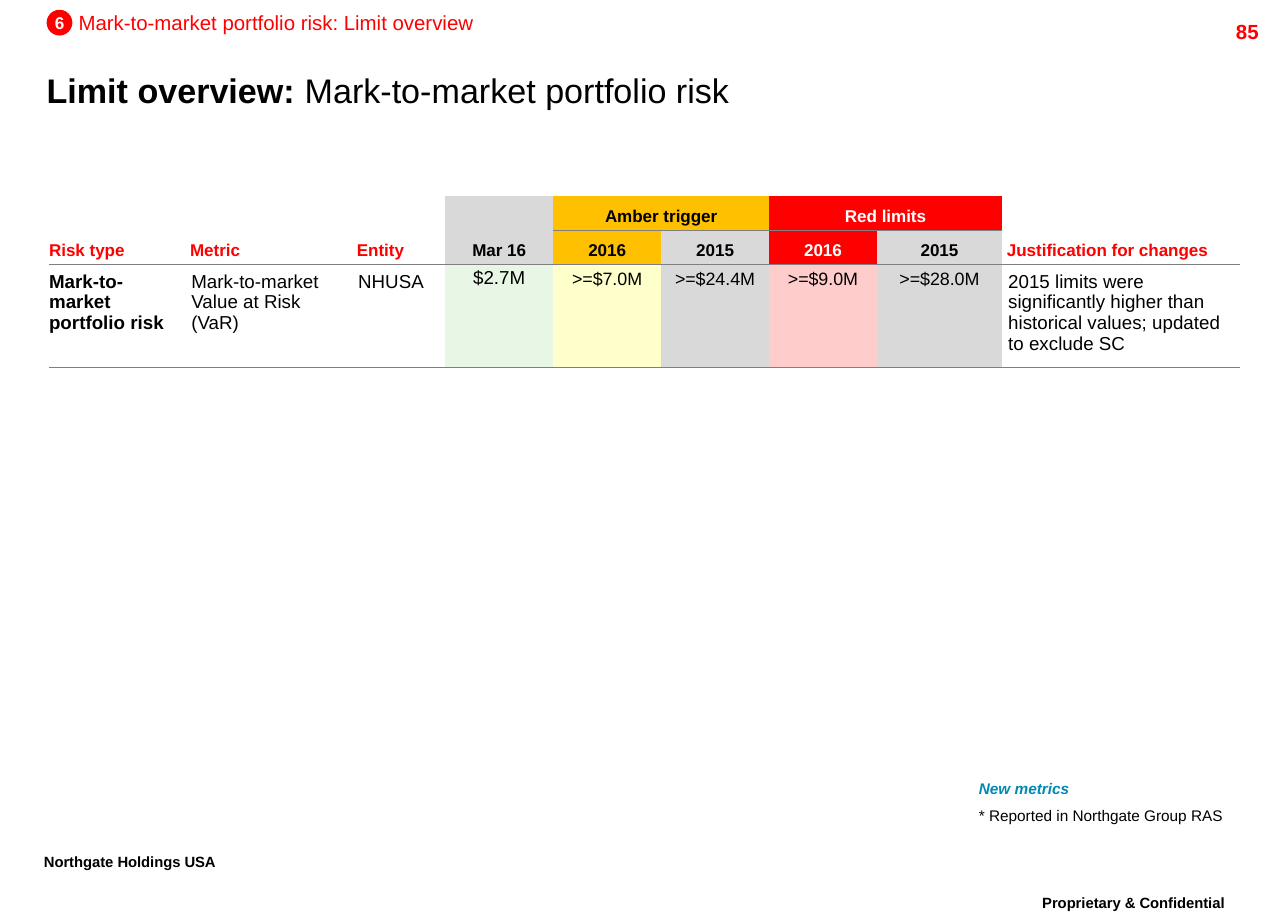
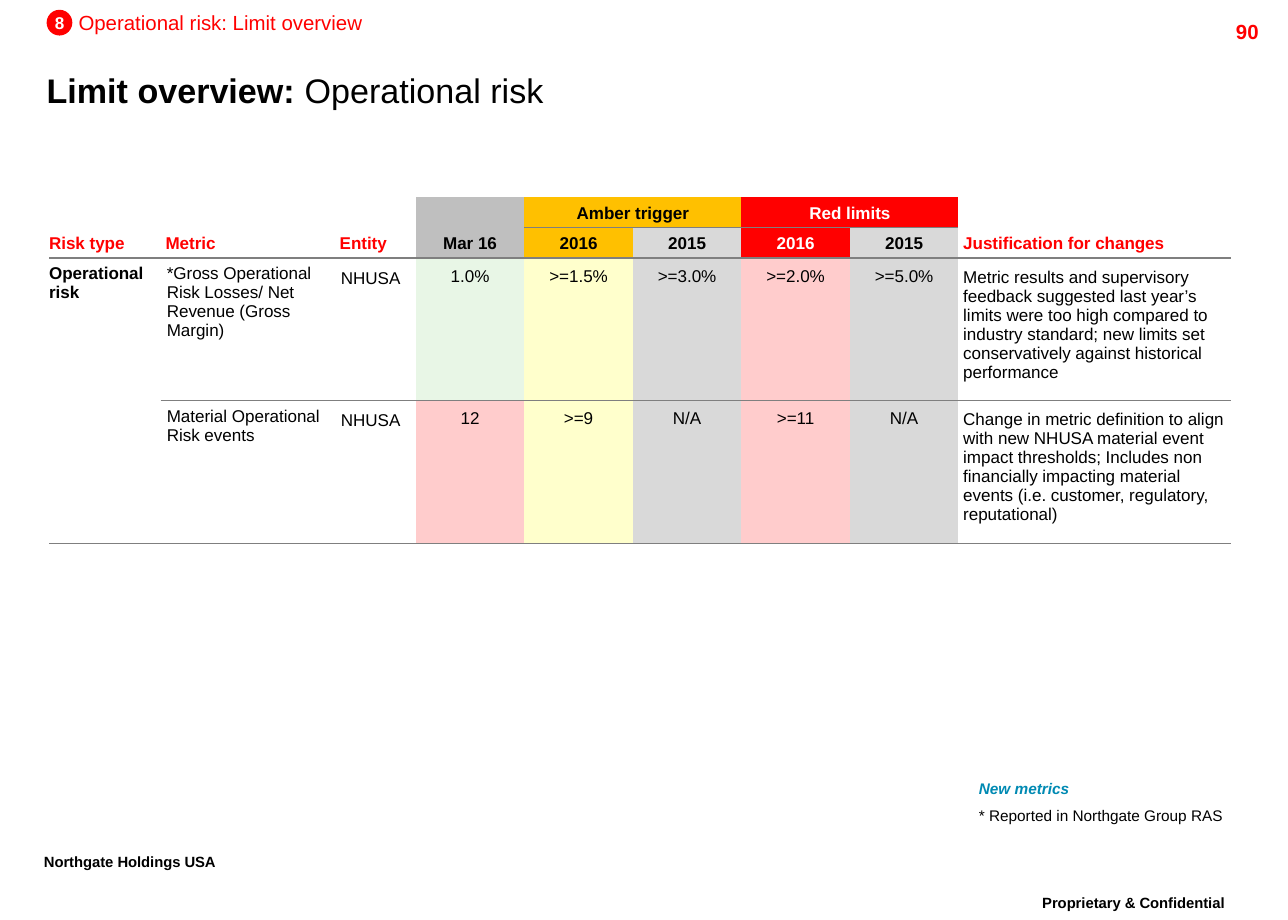
import dataclasses

import pptx
import pptx.dml.color
import pptx.enum.shapes
import pptx.enum.text
import pptx.oxml
import pptx.oxml.ns
import pptx.util
from pptx.util import Inches

ALIGN = pptx.enum.text.PP_ALIGN
ANCHOR = pptx.enum.text.MSO_ANCHOR
COLORS = {
    "black": "000000", "white": "FFFFFF", "red": "FF0000", "amber": "FFC000",
    "grey": "D9D9D9", "dark grey": "BFBFBF", "rule": "7F7F7F", "teal": "008AB3",
    "pale green": "E8F6E6", "pale yellow": "FFFFCC", "pale red": "FFCCCC",
}
NO_TABLE_STYLE = "{2D5ABB26-0587-4C30-8999-92F81FD0307C}"
AMBER_COLUMN, RED_COLUMN = 4, 6


@dataclasses.dataclass
class CellStyle:
    size: float = 10
    bold: bool = False
    color: str = "black"
    align: ALIGN = ALIGN.LEFT
    anchor: ANCHOR = ANCHOR.TOP
    left: float = 0.05
    side: float = 0.05
    top: float = 0.05
    line_points: float = None


def rgb(name):
    return pptx.dml.color.RGBColor.from_string(COLORS[name])


class RiskDeck:
    font_name = "Arial"

    def __init__(self):
        self.deck = pptx.Presentation()
        self.deck.slide_width = Inches(10.5)
        self.deck.slide_height = Inches(7.5)
        self.page = None

    def format_span(self, span, size, color="black", bold=False, italic=False):
        span.font.name = self.font_name
        span.font.size = pptx.util.Pt(size)
        span.font.color.rgb = rgb(color)
        span.font.bold = bold
        span.font.italic = italic

    def set_margins(self, frame, left, top, right, bottom):
        frame.margin_left, frame.margin_top = Inches(left), Inches(top)
        frame.margin_right, frame.margin_bottom = Inches(right), Inches(bottom)

    def text(self, text, left, top, width, height, size, color="black", bold=False,
             italic=False, align=ALIGN.LEFT, anchor=ANCHOR.TOP, padded=False,
             spacing=1.0, wrap=False, raised=False):
        box = self.page.shapes.add_textbox(
            Inches(left), Inches(top), Inches(width), Inches(height))
        frame = box.text_frame
        frame.text = text
        frame.word_wrap = wrap
        frame.vertical_anchor = anchor
        if not padded:
            self.set_margins(frame, 0, 0, 0, 0)
        para = frame.paragraphs[0]
        para.alignment = align
        para.line_spacing = spacing
        span = para.runs[0]
        self.format_span(span, size, color, bold, italic)
        if raised:
            span.font._element.set("baseline", "30000")

    def start_page(self, number, section, topic):
        """Add a slide with its title, section marker, notes and footers."""
        self.page = self.deck.slides.add_slide(self.deck.slide_layouts[5])
        self.title("Limit overview: ", topic)
        self.badge(section)
        self.text(f"{topic}: Limit overview", 0.64, 0.08, 3.25, 0.2, 12, "red")
        self.text(number, 9.36, 0.11, 1, 0.24, 12, "red", bold=True,
                  align=ALIGN.RIGHT, padded=True, wrap=True)
        self.text("New metrics", 7.98, 6.37, 0.74, 0.13, 9, "teal", bold=True,
                  italic=True, spacing=0.86)
        self.text("* Reported in Northgate Group RAS", 7.98, 6.59, 2.03, 0.13, 9,
                  anchor=ANCHOR.BOTTOM, spacing=0.86)
        footer = dict(size=15, bold=True, padded=True, spacing=0.86, wrap=True,
                      raised=True)
        self.text("Northgate Holdings USA", 0.26, 6.91, 2.4, 0.35, **footer)
        self.text("Proprietary & Confidential", 8.15, 7.25, 2.18, 0.35,
                  align=ALIGN.CENTER, **footer)

    def title(self, lead, topic):
        title = self.page.shapes.title
        title.left, title.top = Inches(0.38), Inches(0.49)
        title.width, title.height = Inches(9.48), Inches(0.48)
        frame = title.text_frame
        frame.auto_size = pptx.enum.text.MSO_AUTO_SIZE.NONE
        frame.vertical_anchor = ANCHOR.MIDDLE
        self.set_margins(frame, 0, 0, 0, 0)
        para = frame.paragraphs[0]
        para.alignment = ALIGN.LEFT
        for text, bold in ((lead, True), (topic, False)):
            span = para.add_run()
            span.text = text
            self.format_span(span, 20, bold=bold)

    def badge(self, section):
        circle = self.page.shapes.add_shape(
            pptx.enum.shapes.MSO_SHAPE.OVAL,
            Inches(0.38), Inches(0.08), Inches(0.21), Inches(0.21))
        circle.shadow.inherit = False
        circle.fill.solid()
        circle.fill.fore_color.rgb = rgb("red")
        circle.line.fill.background()
        frame = circle.text_frame
        frame.text = section
        frame.word_wrap = False
        frame.vertical_anchor = ANCHOR.MIDDLE
        self.set_margins(frame, 0, 0, 0, 0)
        frame.paragraphs[0].alignment = ALIGN.CENTER
        self.format_span(frame.paragraphs[0].runs[0], 10, "white", bold=True)

    def cell(self, cell, text, style, fill=None):
        cell.text = text
        cell.vertical_anchor = style.anchor
        self.set_margins(cell, style.left, style.top, style.side, style.top)
        para = cell.text_frame.paragraphs[0]
        para.alignment = style.align
        if style.line_points:
            para.line_spacing = pptx.util.Pt(style.line_points)
        self.format_span(para.runs[0], style.size, style.color, style.bold)
        self.fill_cell(cell, fill)

    def fill_cell(self, cell, fill):
        if fill:
            cell.fill.solid()
            cell.fill.fore_color.rgb = rgb(fill)
        else:
            cell.fill.background()

    def underline_cell(self, cell):
        border = pptx.oxml.parse_xml(
            f'<a:lnB {pptx.oxml.ns.nsdecls("a")} w="9525"><a:solidFill>'
            f'<a:srgbClr val="{COLORS["rule"]}"/></a:solidFill></a:lnB>')
        cell._tc.get_or_add_tcPr().insert(0, border)

    def limit_table(self, top, widths, heights, styles, rows, status_head="grey"):
        """Draw the limit table; a body row holds its status fill and its texts."""
        frame = self.page.shapes.add_table(
            len(heights), len(widths), Inches(0.4), Inches(top),
            Inches(sum(widths)), Inches(sum(heights)))
        table = frame.table
        table.first_row = table.horz_banding = False
        table._tbl.tblPr.find(pptx.oxml.ns.qn("a:tableStyleId")).text = NO_TABLE_STYLE
        for column, width in zip(table.columns, widths):
            column.width = Inches(width)
        for row, height in zip(table.rows, heights):
            row.height = Inches(height)
        for cell in table.iter_cells():
            self.fill_cell(cell, None)
        self.table_head(table, status_head)
        for row_index, (status, texts) in enumerate(rows, start=2):
            fills = [None] * 3 + [status, "pale yellow", "grey", "pale red", "grey", None]
            for column, text in enumerate(texts):
                if text:
                    self.cell(table.cell(row_index, column), text, styles[column],
                              fills[column])
        if len(rows) > 1:
            table.cell(2, 0).merge(table.cell(len(rows) + 1, 0))
        for cell in table.iter_cells():
            self.underline_cell(cell)

    def table_head(self, table, status_head):
        label = CellStyle(bold=True, color="red", anchor=ANCHOR.BOTTOM,
                          left=0.04, side=0.04, top=0.04)
        centred = dataclasses.replace(label, color="black", align=ALIGN.CENTER)
        on_red = dataclasses.replace(centred, color="white")
        tall_heads = (
            (0, "Risk type", dataclasses.replace(label, left=0), None),
            (1, "Metric", label, None),
            (2, "Entity", label, None),
            (3, "Mar 16", centred, status_head),
            (8, "Justification for changes", label, None),
        )
        for column, text, style, fill in tall_heads:
            self.cell(table.cell(0, column), text, style, fill)
            table.cell(0, column).merge(table.cell(1, column))
        groups = ((AMBER_COLUMN, "Amber trigger", centred, "amber"),
                  (RED_COLUMN, "Red limits", on_red, "red"))
        for column, text, style, fill in groups:
            self.cell(table.cell(0, column), text, style, fill)
            table.cell(0, column).merge(table.cell(0, column + 1))
            self.cell(table.cell(1, column), "2016", style, fill)
            self.cell(table.cell(1, column + 1), "2015", centred, "grey")


def market_page(deck):
    deck.start_page("85", "6", "Mark-to-market portfolio risk")
    plain = CellStyle(size=11)
    status = CellStyle(size=11, align=ALIGN.CENTER, line_points=10)
    limit = CellStyle(size=10.5, align=ALIGN.CENTER, left=0.04, side=0.04, top=0.04)
    deck.limit_table(
        1.6, [1.11, 1.36, 0.76] + [0.88] * 4 + [1.02, 1.94], [0.28, 0.28, 0.83],
        [CellStyle(size=11, bold=True, left=0), plain, plain, status]
        + [limit] * 4 + [plain],
        [("pale green", (
            "Mark-to-market portfolio risk", "Mark-to-market Value at Risk (VaR)",
            "NHUSA", "$2.7M", ">=$7.0M", ">=$24.4M", ">=$9.0M", ">=$28.0M",
            "2015 limits were significantly higher than historical values; "
            "updated to exclude SC"))])


def operational_page(deck):
    deck.start_page("90", "8", "Operational risk")
    value = CellStyle(align=ALIGN.CENTER, top=0.09, line_points=10)
    deck.limit_table(
        1.61, [0.91, 1.42, 0.66] + [0.885] * 5 + [2.22], [0.24, 0.24, 1.09, 1.09],
        [CellStyle(bold=True, left=0), CellStyle(side=0.01), CellStyle(top=0.09)]
        + [value] * 5 + [CellStyle(left=0.04, side=0.04, top=0.08)],
        [("pale green", (
            "Operational risk",
            "*Gross Operational Risk Losses/ Net Revenue (Gross Margin)",
            "NHUSA", "1.0%", ">=1.5%", ">=3.0%", ">=2.0%", ">=5.0%",
            "Metric results and supervisory feedback suggested last year’s limits "
            "were too high compared to industry standard; new limits set "
            "conservatively against historical performance")),
         ("pale red", (
             "", "Material Operational Risk events",
             "NHUSA", "12", ">=9", "N/A", ">=11", "N/A",
             "Change in metric definition to align with new NHUSA material event "
             "impact thresholds; Includes non financially impacting material events "
             "(i.e. customer, regulatory, reputational)"))],
        status_head="dark grey")


def main():
    risk_deck = RiskDeck()
    market_page(risk_deck)
    operational_page(risk_deck)
    risk_deck.deck.save("out.pptx")


if __name__ == "__main__":
    main()
